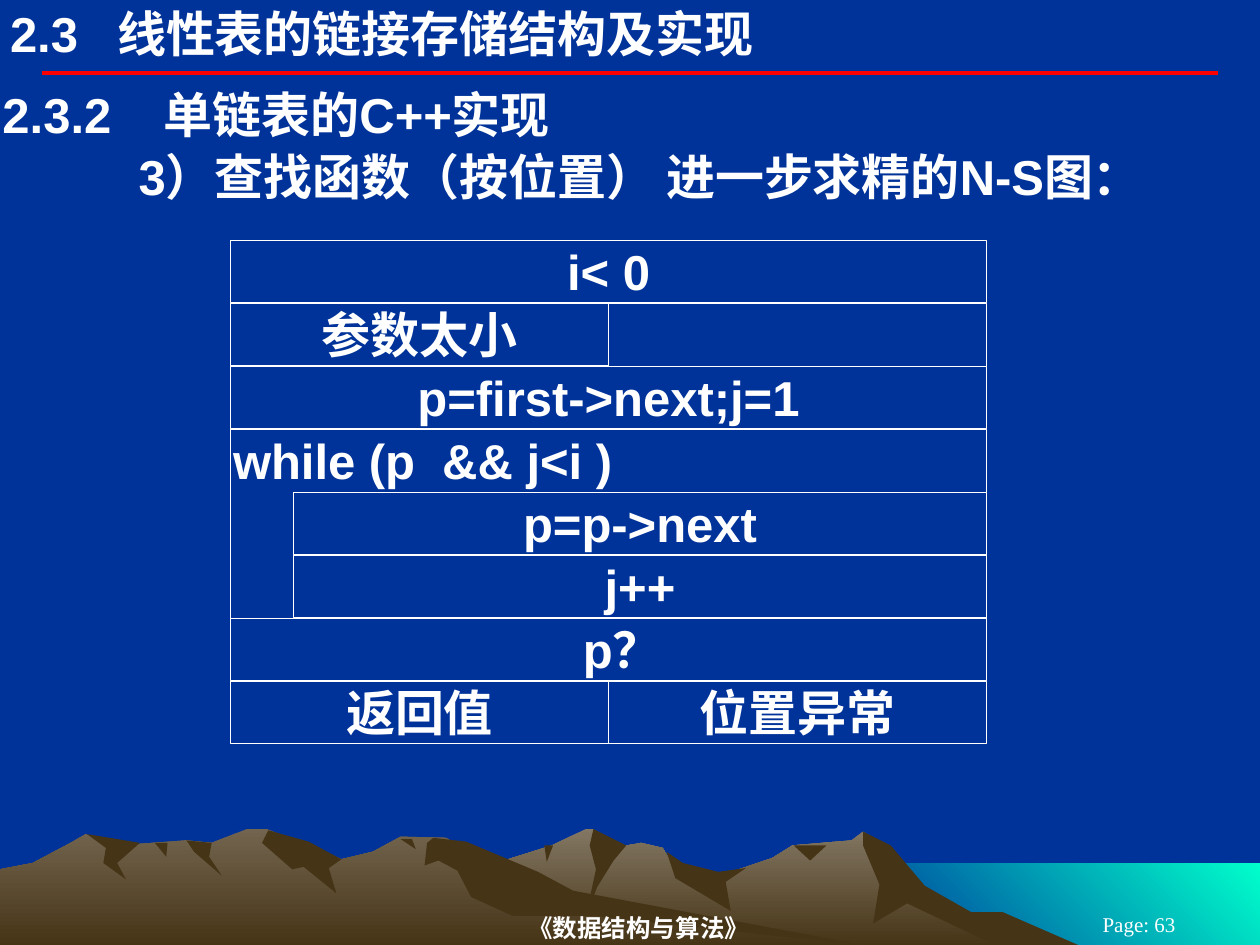
from dataclasses import dataclass

from lxml.etree import SubElement
from pptx import Presentation
from pptx.dml.color import RGBColor
from pptx.enum.shapes import MSO_CONNECTOR, MSO_SHAPE
from pptx.enum.text import MSO_ANCHOR, MSO_AUTO_SIZE, PP_ALIGN
from pptx.oxml.ns import qn
from pptx.util import Inches, Pt


@dataclass(frozen=True)
class Theme:
    navy: str = "003399"
    white: str = "FFFFFF"
    red: str = "FF0000"
    aqua: str = "00FFCC"
    earth: str = "463416"
    far_rock: str = "837763"
    near_rock: str = "72644E"
    body_font: str = "Arial"
    footer_font: str = "Times New Roman"
    body_size: int = 28
    footer_size: int = 14
    number_size: int = 12
    border: float = 0.75
    rule: float = 2.25


@dataclass(frozen=True)
class MountainRange:
    rock: str
    skyline: tuple
    slopes: tuple
    clefts: tuple


THEME = Theme()
HUNDREDTH = Inches(0.01)
FOOT = 93
ROW_PITCH, ROW_HEIGHT, LOOP_INDENT = 0.5, 0.49, 0.5

FAR_RANGE = MountainRange(
    rock=THEME.far_rock,
    skyline=((258, FOOT), (327, 51), (394, 27), (438, 13), (465, 0), (471, 0), (486, 15), (509, 11),
             (526, 15), (536, 32), (566, 39), (613, 23), (629, 13), (676, 9), (685, 2), (702, 13),
             (723, 40), (764, 65), (821, FOOT)),
    slopes=(
        ((685, 2), (707, 13), (734, 45), (771, 66), (796, 66), (858, FOOT), (792, FOOT), (720, 59),
         (693, 75), (698, 44), (685, 13)),
        ((471, 0), (497, 13), (487, 25), (474, 46), (465, 69), (473, 32), (468, 13)),
        ((529, 18), (542, 27), (570, 34), (592, 31), (576, 42), (580, 65), (536, 39)),
    ),
    clefts=((630, 656, 13, 643, 25), (432, 439, 13, 434, 26)),
)
NEAR_RANGE = MountainRange(
    rock=THEME.near_rock,
    skyline=((0, FOOT), (0, 32), (26, 27), (56, 11), (68, 4), (94, 13), (148, 9), (168, 11),
             (196, 0), (212, 0), (271, 24), (296, 18), (318, 6), (354, 7), (432, 54), (690, FOOT)),
    slopes=(
        ((213, 1), (245, 10), (271, 24), (261, 31), (267, 51), (241, 30), (232, 32), (208, 11)),
        ((344, 7), (370, 10), (427, 34), (455, 49), (690, FOOT), (472, 69), (407, 69), (374, 54),
         (363, 33), (348, 25), (337, 29), (339, 11)),
        ((69, 4), (111, 11), (93, 27), (100, 40), (82, 27), (84, 15)),
        ((148, 9), (168, 11), (166, 22), (176, 37), (154, 18)),
    ),
    clefts=((318, 327, 8, 330, 16), (123, 133, 11, 132, 22)),
)


def rgb(code):
    return RGBColor.from_string(code)


def paint(shape, colours, angle=270):
    shape.shadow.inherit = False
    shape.line.fill.background()
    if len(colours) == 1:
        shape.fill.solid()
        shape.fill.fore_color.rgb = rgb(colours[0])
        return
    shape.fill.gradient()
    shape.fill.gradient_angle = angle
    for stop, colour in zip(shape.fill.gradient_stops, colours):
        stop.color.rgb = rgb(colour)


def write(shape, text, align=PP_ALIGN.LEFT, insets=(0.02, 0.01, 0.02, 0.01), font=THEME.body_font,
          size=THEME.body_size, bold=True, anchor=MSO_ANCHOR.TOP, grow=True, tab=None):
    frame = shape.text_frame
    frame.text = text
    frame.word_wrap = True
    frame.vertical_anchor = anchor
    frame.auto_size = MSO_AUTO_SIZE.SHAPE_TO_FIT_TEXT if grow else MSO_AUTO_SIZE.NONE
    frame.margin_left, frame.margin_top, frame.margin_right, frame.margin_bottom = map(Inches, insets)
    para = frame.paragraphs[0]
    para.alignment = align
    if tab:
        tabs = SubElement(para._p.get_or_add_pPr(), qn("a:tabLst"))
        SubElement(tabs, qn("a:tab"), pos=str(Inches(tab)), algn="l")
    for span in para.runs:
        span.font.name = font
        span.font.size = Pt(size)
        span.font.bold = bold
        span.font.color.rgb = rgb(THEME.white)


def add_text(page, box, text, **style):
    write(page.shapes.add_textbox(*map(Inches, box)), text, **style)


def add_polygon(page, left, top, points, colours):
    outline = page.shapes.build_freeform(*points[0], scale=HUNDREDTH)
    outline.add_line_segments(points[1:], close=True)
    paint(outline.convert_to_shape(Inches(left), Inches(top)), colours)


def add_mountain_range(page, left, top, mountains):
    add_polygon(page, left, top, mountains.skyline, [mountains.rock, THEME.earth])
    for slope in mountains.slopes:
        add_polygon(page, left, top, slope, [THEME.earth])
    for start, end, rim, tip, depth in mountains.clefts:
        add_polygon(page, left, top, [(start, rim), (end, rim), (tip, depth)], [THEME.earth])


def add_landscape(page, left, top):
    sea = page.shapes.add_shape(
        MSO_SHAPE.RECTANGLE, *map(Inches, (left + 6.83, top + 0.27, 3.17, 0.67)))
    paint(sea, [THEME.aqua, THEME.navy], 225)
    for mountains in (FAR_RANGE, NEAR_RANGE):
        add_mountain_range(page, left, top, mountains)


def add_footer(page, left, top):
    shared = dict(align=PP_ALIGN.CENTER, font=THEME.footer_font, anchor=MSO_ANCHOR.MIDDLE, grow=False)
    add_text(page, (left, top, 6.06, 0.28), "《数据结构与算法》",
             insets=(0, 0.01, 0.08, 0.01), size=THEME.footer_size, **shared)
    add_text(page, (left + 6.17, top + 0.03, 1.58, 0.17), "Page: 63",
             insets=(0.1, 0.05, 0.1, 0.05), size=THEME.number_size, bold=False, **shared)


def add_headings(page, left, top, width):
    rule_y = top + 0.58
    rule = page.shapes.add_connector(
        MSO_CONNECTOR.STRAIGHT, *map(Inches, (left + 0.33, rule_y, left + width - 0.33, rule_y)))
    rule.line.color.rgb = rgb(THEME.red)
    rule.line.width = Pt(THEME.rule)
    SubElement(rule._element.spPr, qn("a:effectLst"))
    add_text(page, (left + 0.08, top + 0.03, 6.5, 0.47), "2.3\t线性表的链接存储结构及实现",
             insets=(0, 0, 0, 0), tab=0.85)
    add_text(page, (left, top + 0.66, width, 0.49), "2.3.2\t单链表的C++实现", tab=1.28)
    add_text(page, (left, top + 1.15, width, 0.49), "3）查找函数（按位置） 进一步求精的N-S图：",
             insets=(1.1, 0.01, 0.02, 0.01))


def add_cell(page, box, text="", fill=None, **style):
    cell = page.shapes.add_shape(MSO_SHAPE.RECTANGLE, *map(Inches, box))
    if fill:
        paint(cell, [fill])
    else:
        cell.shadow.inherit = False
        cell.fill.background()
    cell.line.color.rgb = rgb(THEME.white)
    cell.line.width = Pt(THEME.border)
    if text:
        write(cell, text, **{"align": PP_ALIGN.CENTER, **style})


def add_statement(page, left, top, width, text, **style):
    add_cell(page, (left, top, width, ROW_HEIGHT), text, **style)


def add_branch(page, left, top, width, condition, answers, **style):
    add_statement(page, left, top, width, condition, **style)
    answer_width = width / len(answers)
    for column, answer in enumerate(answers):
        height = ROW_HEIGHT if answer else ROW_PITCH
        box = (left + column * answer_width, top + ROW_PITCH, answer_width, height)
        add_cell(page, box, answer)


def add_loop(page, left, top, width, condition, steps):
    height = (len(steps) + 1) * ROW_PITCH
    add_cell(page, (left, top, width, height), condition, align=PP_ALIGN.LEFT, grow=False)
    for row, step in enumerate(steps, start=1):
        add_statement(page, left + LOOP_INDENT, top + row * ROW_PITCH, width - LOOP_INDENT, step,
                      fill=THEME.navy)


def add_ns_diagram(page, left, top, width):
    row_top = [top + row * ROW_PITCH for row in range(8)]
    add_branch(page, left, row_top[0], width, "i< 0", ["参数太小", ""])
    add_statement(page, left, row_top[2], width, "p=first->next;j=1")
    add_loop(page, left, row_top[3], width, "while (p  && j<i )", ["p=p->next", "j++"])
    add_branch(page, left, row_top[6], width, "p？", ["返回值", "位置异常"],
               insets=(0.24, 0.01, 0.02, 0.01))


def main():
    deck = Presentation()
    deck.slide_width, deck.slide_height = Inches(10), Inches(7.5)
    page = deck.slides.add_slide(deck.slide_layouts[6])
    page.background.fill.solid()
    page.background.fill.fore_color.rgb = rgb(THEME.navy)
    add_landscape(page, 0, 6.58)
    add_footer(page, 2.08, 7.22)
    add_headings(page, 0, 0, 10)
    add_ns_diagram(page, 1.83, 1.91, 6)
    deck.save("out.pptx")


if __name__ == "__main__":
    main()
